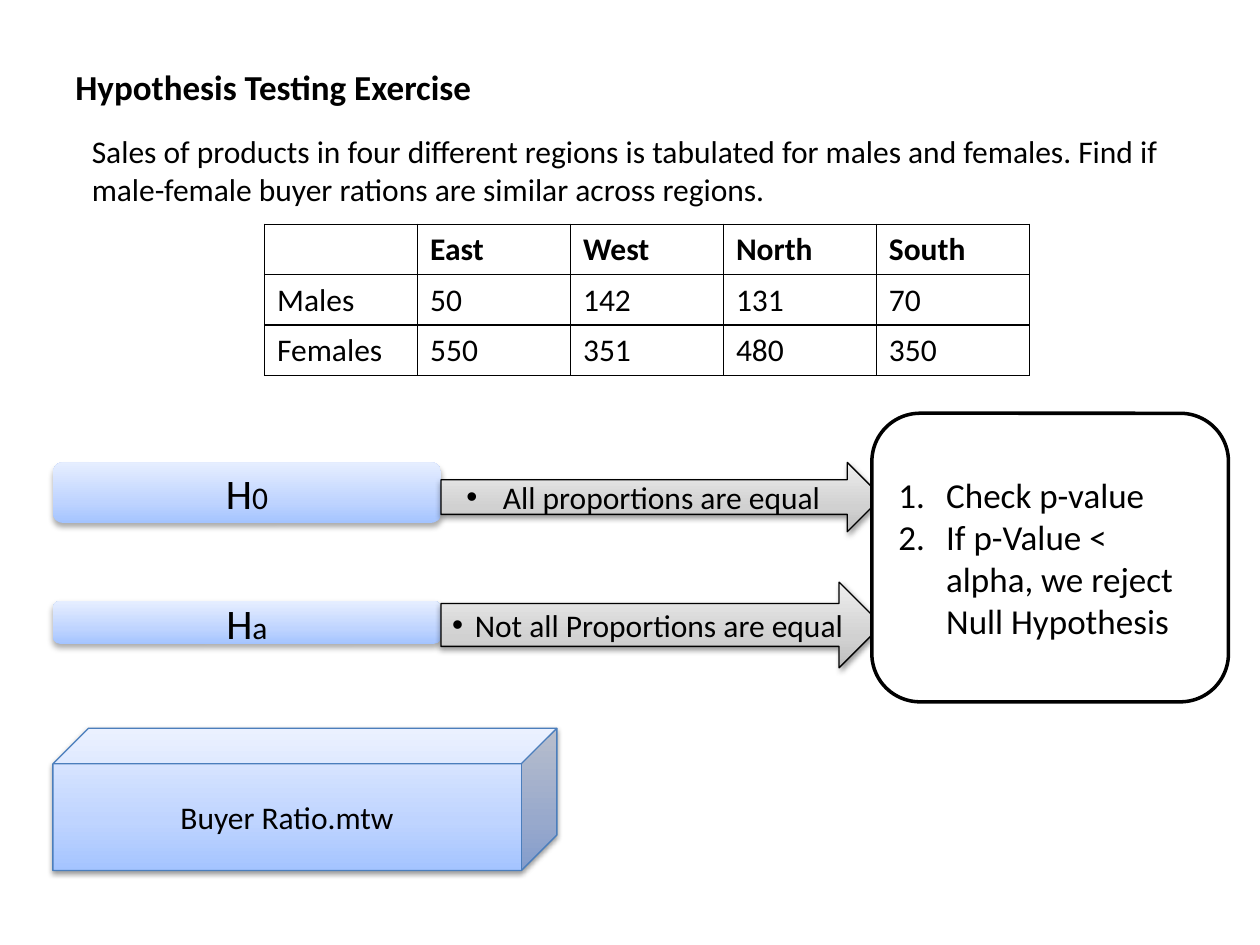
from lxml import etree
from pptx import Presentation
from pptx.dml.color import RGBColor
from pptx.enum.shapes import MSO_SHAPE
from pptx.enum.text import MSO_ANCHOR, PP_ALIGN
from pptx.oxml import parse_xml
from pptx.oxml.ns import nsdecls, qn
from pptx.util import Inches, Pt

ROUNDED = MSO_SHAPE.ROUNDED_RECTANGLE
ARROW = MSO_SHAPE.RIGHT_ARROW
CUBE = MSO_SHAPE.CUBE
MIDDLE = MSO_ANCHOR.MIDDLE
CENTER = PP_ALIGN.CENTER
LEFT = PP_ALIGN.LEFT

FONT = "Calibri"
COLORS = {"black": "000000", "white": "FFFFFF", "blue_line": "4B7EBC"}
GRADIENTS = {
    "blue": ((0, "A4C4FF"), (35, "BFD4FF"), (100, "E6EEFF")),
    "gray": ((0, "BDBDBD"), (35, "D1D1D1"), (100, "EEEEEE")),
}
SOFT_SHADOW = (32, 3.5, 2.2)
FIRM_SHADOW = (38, 3.1, 1.6)
BUYERS = (
    ("", "East", "West", "North", "South"),
    ("Males", "50", "142", "131", "70"),
    ("Females", "550", "351", "480", "350"),
)


def color(name):
    return RGBColor.from_string(COLORS[name])


def format_paragraph(paragraph, size, bold=False, align=LEFT):
    paragraph.alignment = align
    for run in paragraph.runs:
        run.font.name = FONT
        run.font.size = Pt(size)
        run.font.bold = bold
        run.font.color.rgb = color("black")


def set_indent(paragraph, left, hanging=0, bullet=None):
    properties = paragraph._p.get_or_add_pPr()
    properties.set("marL", str(Inches(left)))
    properties.set("indent", str(-Inches(hanging)))
    if bullet == "number":
        etree.SubElement(properties, qn("a:buAutoNum"), type="arabicPeriod")
    elif bullet:
        etree.SubElement(properties, qn("a:buFont"), typeface="Arial")
        etree.SubElement(properties, qn("a:buChar"), char=bullet)


def add_text(slide, box, text, size, bold=False, anchor=MSO_ANCHOR.TOP):
    shape = slide.shapes.add_textbox(*map(Inches, box))
    frame = shape.text_frame
    frame.word_wrap = True
    frame.vertical_anchor = anchor
    frame.text = text
    format_paragraph(frame.paragraphs[0], size, bold)
    return frame.paragraphs[0]


def add_box(slide, kind, box, text, size, align=CENTER, line=None, width=0.75):
    shape = slide.shapes.add_shape(kind, *map(Inches, box))
    shape.shadow.inherit = False
    if line:
        shape.line.color.rgb = color(line)
        shape.line.width = Pt(width)
    else:
        shape.line.fill.background()
    frame = shape.text_frame
    frame.word_wrap = True
    frame.vertical_anchor = MIDDLE
    frame.text = text
    for paragraph in frame.paragraphs:
        format_paragraph(paragraph, size, align=align)
    return shape


def add_gradient_and_shadow(shape, gradient, shadow):
    stops = "".join(
        f'<a:gs pos="{position * 1000}"><a:srgbClr val="{value}"/></a:gs>'
        for position, value in GRADIENTS[gradient]
    )
    properties = shape._element.spPr
    properties.find(qn("a:prstGeom")).addnext(parse_xml(
        f'<a:gradFill {nsdecls("a")} rotWithShape="1"><a:gsLst>{stops}</a:gsLst>'
        '<a:lin ang="16200000" scaled="0"/></a:gradFill>'
    ))
    alpha, blur, distance = shadow
    properties.find(qn("a:effectLst")).append(parse_xml(
        f'<a:outerShdw {nsdecls("a")} blurRad="{Pt(blur)}" dist="{Pt(distance)}" '
        f'dir="5400000" rotWithShape="0"><a:srgbClr val="{COLORS["black"]}">'
        f'<a:alpha val="{alpha * 1000}"/></a:srgbClr></a:outerShdw>'
    ))


def add_cell_borders(cell):
    properties = cell._tc.get_or_add_tcPr()
    for position, side in enumerate(("lnL", "lnR", "lnT", "lnB")):
        properties.insert(position, parse_xml(
            f'<a:{side} {nsdecls("a")} w="{Pt(1)}"><a:solidFill>'
            f'<a:srgbClr val="{COLORS["black"]}"/></a:solidFill></a:{side}>'
        ))


def add_buyer_table(slide, box):
    frame = slide.shapes.add_table(len(BUYERS), len(BUYERS[0]), *map(Inches, box))
    table = frame.table
    table.first_row = False
    table.horz_banding = False
    for row, values in enumerate(BUYERS):
        for column, value in enumerate(values):
            cell = table.cell(row, column)
            cell.text = value
            cell.fill.background()
            format_paragraph(cell.text_frame.paragraphs[0], 18, bold=row == 0)
            add_cell_borders(cell)


def add_hypothesis(slide, box, subscript, statement, arrow_box, hanging, right_inset):
    label = add_box(slide, ROUNDED, box, "H", 24)
    add_gradient_and_shadow(label, "blue", SOFT_SHADOW)
    paragraph = label.text_frame.paragraphs[0]
    paragraph.add_run().text = subscript
    format_paragraph(paragraph, 18, align=CENTER)
    paragraph.runs[0].font.size = Pt(24)

    arrow = add_box(slide, ARROW, arrow_box, statement, 18, line="black")
    add_gradient_and_shadow(arrow, "gray", FIRM_SHADOW)
    arrow.text_frame.margin_left = Inches(0.05)
    arrow.text_frame.margin_right = Inches(right_inset)
    set_indent(arrow.text_frame.paragraphs[0], hanging, hanging, "•")


def add_decision(slide, box):
    steps = "Check p-value\nIf p-Value < alpha, we reject Null Hypothesis"
    shape = add_box(slide, ROUNDED, box, steps, 20, LEFT, "black", 2)
    shape.fill.solid()
    shape.fill.fore_color.rgb = color("white")
    for paragraph in shape.text_frame.paragraphs:
        set_indent(paragraph, 0.38, 0.38, "number")


def add_file_cube(slide, box):
    cube = add_box(slide, CUBE, box, "Buyer Ratio.mtw", 18, line="blue_line")
    add_gradient_and_shadow(cube, "blue", FIRM_SHADOW)


def main():
    presentation = Presentation()
    presentation.slide_width = Inches(10)
    presentation.slide_height = Inches(7.5)
    slide = presentation.slides.add_slide(presentation.slide_layouts[6])

    add_text(slide, (0.5, 0.3, 9, 0.78), "Hypothesis Testing Exercise", 20, True, MIDDLE)
    question = add_text(
        slide, (0.25, 1, 9.58, 6.25),
        "Sales of products in four different regions is tabulated for males and females. "
        "Find if male-female buyer rations are similar across regions.", 18,
    )
    question.space_before = Pt(4)
    set_indent(question, 0.38)
    add_buyer_table(slide, (2.1, 1.78, 6.07, 1.2))
    add_hypothesis(slide, (0.42, 3.67, 3.08, 0.48), "0", "All proportions are equal",
                   (3.5, 3.67, 3.5, 0.55), 0.29, 0.2)
    add_hypothesis(slide, (0.42, 4.77, 3.08, 0.34), "a", "Not all Proportions are equal",
                   (3.5, 4.62, 3.5, 0.68), 0.18, 0.1)
    add_decision(slide, (6.92, 3.28, 2.83, 2.29))
    add_file_cube(slide, (0.42, 5.78, 4, 1.13))
    presentation.save("out.pptx")


if __name__ == "__main__":
    main()
